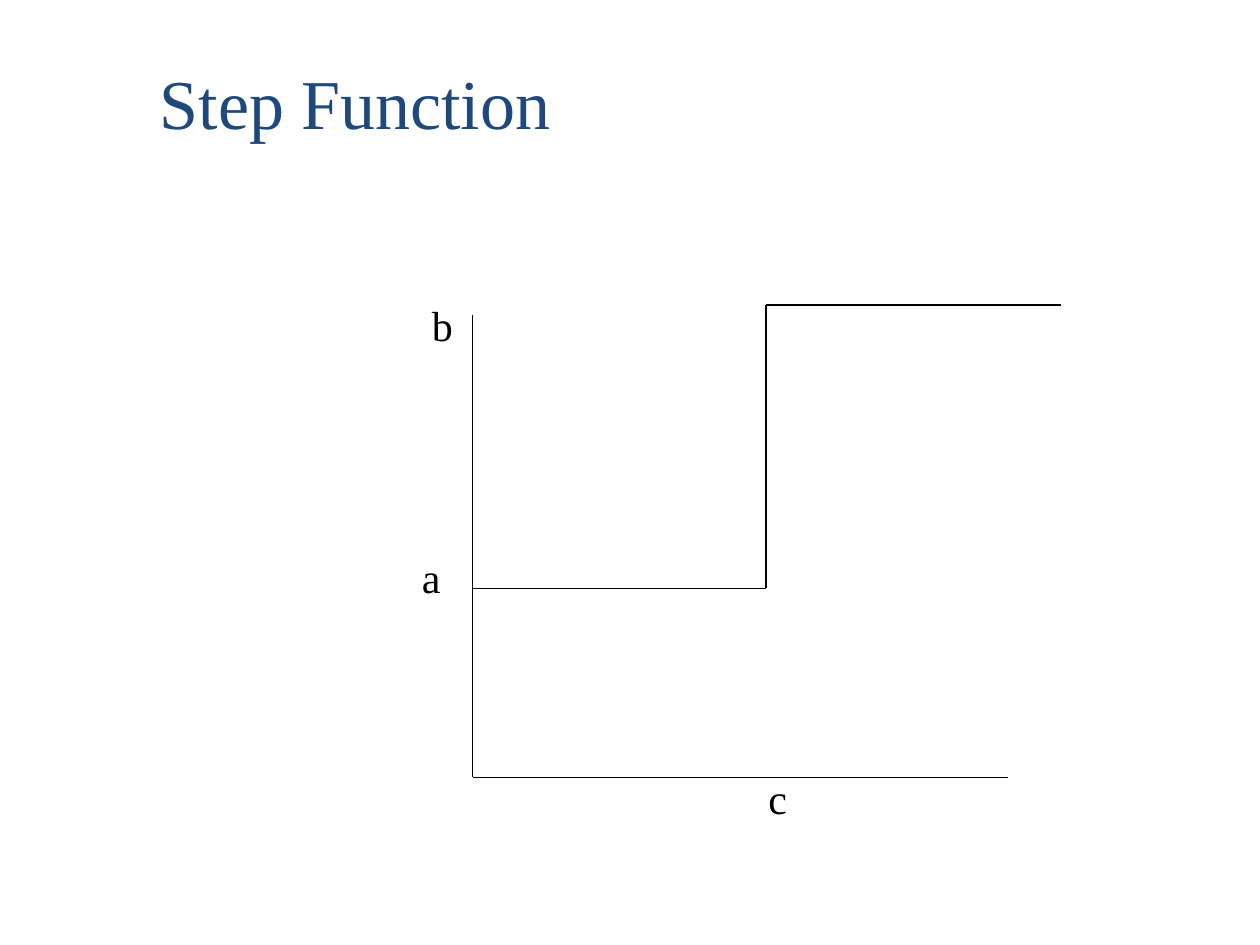
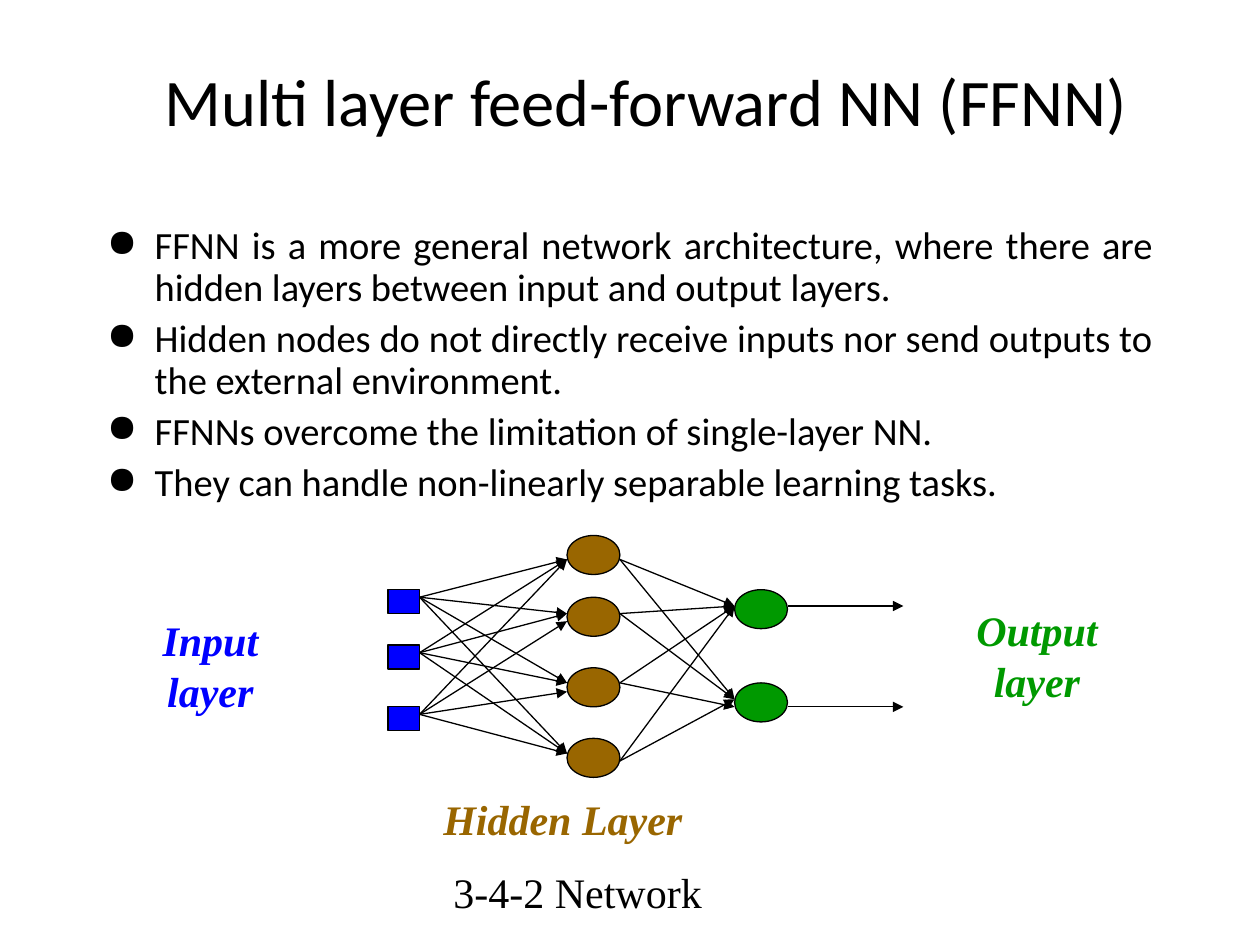
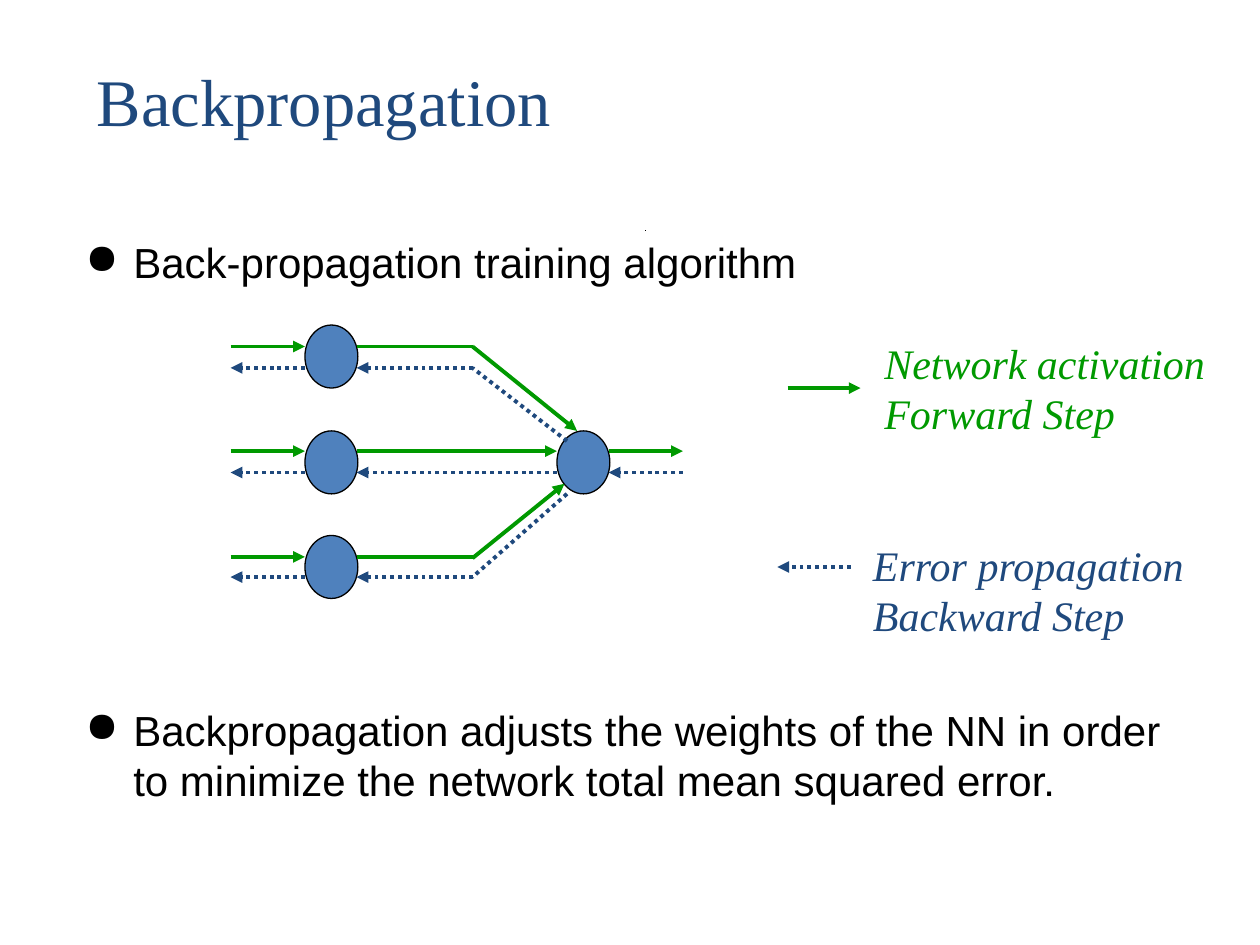
from pptx import Presentation
from pptx.dml.color import RGBColor
from pptx.enum.dml import MSO_LINE
from pptx.enum.shapes import MSO_CONNECTOR, MSO_SHAPE
from pptx.enum.text import MSO_ANCHOR, PP_ALIGN
from pptx.oxml import parse_xml
from pptx.oxml.ns import nsdecls, qn
from pptx.util import Inches, Pt

SERIF, SANS, BODY = "Times New Roman", "Arial", "Calibri"
BLACK, NAVY, BLUE = "000000", "1F497D", "0000FF"
GREEN, BROWN, STEEL = "009900", "996600", "4F81BD"
NODE_W = 0.42

deck = Presentation()
deck.slide_width, deck.slide_height = Inches(10), Inches(7.5)
step, net, back = [deck.slides.add_slide(deck.slide_layouts[6]) for _ in range(3)]


def color(value):
    return RGBColor.from_string(value)


def add_text(slide, text, x, y, w, h, size=24, font=SERIF, ink=BLACK, bold=False,
             slant=False, align=PP_ALIGN.LEFT, anchor=MSO_ANCHOR.TOP,
             bullet=False, gap=0, pitch=None):
    """Add a text box with one paragraph for each line of text."""
    frame = slide.shapes.add_textbox(*map(Inches, (x, y, w, h))).text_frame
    frame.word_wrap = True
    frame.vertical_anchor = anchor
    for i, line in enumerate(text.split("\n")):
        para = frame.paragraphs[0] if i == 0 else frame.add_paragraph()
        if bullet:
            props = para._p.get_or_add_pPr()
            props.set("marL", str(Inches(0.38)))
            props.set("indent", str(-Inches(0.38)))
            mark = parse_xml(f'<a:buChar {nsdecls("a")} char="●"/>')
            props.append(mark)
        para.alignment = align
        if pitch:
            para.line_spacing = pitch
        if i and gap:
            para.space_before = Pt(gap)
        run = para.add_run()
        run.text = line
        face = run.font
        face.name, face.size, face.bold, face.italic = font, Pt(size), bold, slant
        face.color.rgb = color(ink)


def add_line(slide, x1, y1, x2, y2, ink=BLACK, width=0.75, dots=False, arrow=False):
    wire = slide.shapes.add_connector(
        MSO_CONNECTOR.STRAIGHT, *map(Inches, (x1, y1, x2, y2)))
    wire.line.color.rgb = color(ink)
    wire.line.width = Pt(width)
    if dots:
        wire.line.dash_style = MSO_LINE.ROUND_DOT
    props = wire._element.spPr
    if arrow:
        tip = parse_xml(f'<a:tailEnd {nsdecls("a")} type="triangle"/>')
        props.find(qn("a:ln")).append(tip)
    props.append(parse_xml(f'<a:effectLst {nsdecls("a")}/>'))


# Step function
add_text(step, "Step Function", 1.17, 0.42, 5.25, 0.77, size=40, ink=NAVY)
for ends in [
    (3.75, 2.5, 3.75, 6.17), (3.75, 6.17, 8, 6.17),
    (3.75, 4.67, 6.08, 4.67), (6.08, 2.42, 6.08, 4.67), (6.08, 2.42, 8.42, 2.42),
]:
    add_line(step, *ends)
for name, x, y in [("a", 3.25, 4.33), ("b", 3.33, 2.33), ("c", 6, 6.08)]:
    add_text(step, name, x, y, 0.42, 0.5)

# Multi layer network
add_text(net, "Multi layer feed-forward NN (FFNN)", 0.75, 0.42, 8.75, 0.75,
         size=38, font=BODY, align=PP_ALIGN.CENTER, anchor=MSO_ANCHOR.MIDDLE)
points = """\
FFNN is a more general network architecture, where there are hidden layers between input and output layers.
Hidden nodes do not directly receive inputs nor send outputs to the external environment.
FFNNs overcome the limitation of single-layer NN.
They can handle non-linearly separable learning tasks."""
add_text(net, points, 0.75, 1.75, 8.5, 2.58, size=22, font=BODY,
         align=PP_ALIGN.JUSTIFY, bullet=True, gap=5.5, pitch=0.9)
for text, x, y, w, h, ink in [
    ("Input\nlayer", 1.19, 4.83, 0.96, 0.9, BLUE),
    ("Output\nlayer", 7.65, 4.75, 1.16, 0.9, GREEN),
    ("Hidden Layer", 3.42, 6.25, 2.1, 0.5, BROWN),
]:
    add_text(net, text, x, y, w, h, ink=ink, bold=True, slant=True,
             align=PP_ALIGN.CENTER if "\n" in text else PP_ALIGN.LEFT)
add_text(net, "3-4-2 Network", 3.5, 6.83, 2.5, 0.5)

# Nodes of both networks, one column at a time
for slide, kind, x, tops, w, h, fill in [
    (net, MSO_SHAPE.RECTANGLE, 3.08, (4.68, 5.12, 5.61), 0.25, 0.19, BLUE),
    (net, MSO_SHAPE.OVAL, 4.5, (4.25, 4.74, 5.3, 5.86), NODE_W, 0.31, BROWN),
    (net, MSO_SHAPE.OVAL, 5.83, (4.68, 5.42), NODE_W, 0.31, GREEN),
    (back, MSO_SHAPE.OVAL, 2.42, (2.58, 3.42, 4.25), NODE_W, 0.5, STEEL),
    (back, MSO_SHAPE.OVAL, 4.42, (3.42,), NODE_W, 0.5, STEEL),
]:
    for y in tops:
        node = slide.shapes.add_shape(kind, *map(Inches, (x, y, w, h)))
        node.shadow.inherit = False
        node.fill.solid()
        node.fill.fore_color.rgb = color(fill)
        node.line.color.rgb = color(BLACK)
        node.line.width = Pt(0.75)

# Each start height with the heights its arrows reach
into = {4.74: (4.44, 4.87, 5.42, 5.98), 5.18: (4.44, 4.87, 5.42, 5.98),
        5.67: (4.44, 4.93, 5.49, 5.98)}
onto = {4.44: (4.81, 5.55), 4.87: (4.81, 5.55), 5.42: (4.81, 5.61), 6.04: (4.81, 5.55)}
out = {4.81: (4.81,), 5.61: (5.61,)}
for x1, x2, fan in [(3.33, 4.5, into), (4.92, 5.83, onto), (6.25, 7.17, out)]:
    for y1, ends in fan.items():
        for y2 in ends:
            add_line(net, x1, y1, x2, y2, arrow=True)

# Backpropagation
add_text(back, "Backpropagation", 0.67, 0.17, 8.83, 1.25, size=38, ink=NAVY,
         anchor=MSO_ANCHOR.MIDDLE)
for text, y, h in [
    ("Back-propagation training algorithm", 1.83, 0.5),
    ("Backpropagation adjusts the weights of the NN in order to minimize "
     "the network total mean squared error.", 5.54, 0.96),
]:
    add_text(back, text, 0.58, y, 9.08, h, font=SANS, bullet=True)
add_line(back, 5.12, 1.83, 5.13, 1.83)

ahead = dict(ink=GREEN, width=2.25)
behind = dict(ink=NAVY, width=2.25, dots=True)
for y1, y2 in [(2.75, 2.92), (3.58, 3.75), (4.42, 4.58)]:
    mid = y1 == 3.58
    bend = 4.42 if mid else 3.75
    add_line(back, 1.83, y1, 2.42, y1, arrow=True, **ahead)
    add_line(back, 2.42, y2, 1.83, y2, arrow=True, **behind)
    add_line(back, 2.83, y1, bend, y1, arrow=mid, **ahead)
    add_line(back, bend, y2, 2.83, y2, arrow=True, **behind)
for ends in [(3.75, 2.75, 4.58, 3.42), (3.75, 4.43, 4.48, 3.84),
             (4.83, 3.58, 5.42, 3.58), (6.25, 3.08, 6.83, 3.08)]:
    add_line(back, *ends, arrow=True, **ahead)
for ends in [(4.5, 3.5, 3.75, 2.92), (4.5, 3.92, 3.75, 4.58)]:
    add_line(back, *ends, **behind)
for ends in [(5.42, 3.75, 4.83, 3.75), (6.75, 4.5, 6.17, 4.5)]:
    add_line(back, *ends, arrow=True, **behind)
add_text(back, "Network activation\nForward Step", 6.92, 2.63, 3.08, 0.9,
         ink=GREEN, slant=True)
add_text(back, "Error propagation\nBackward Step", 6.83, 4.23, 2.83, 0.9,
         ink=NAVY, slant=True)

deck.save("out.pptx")
